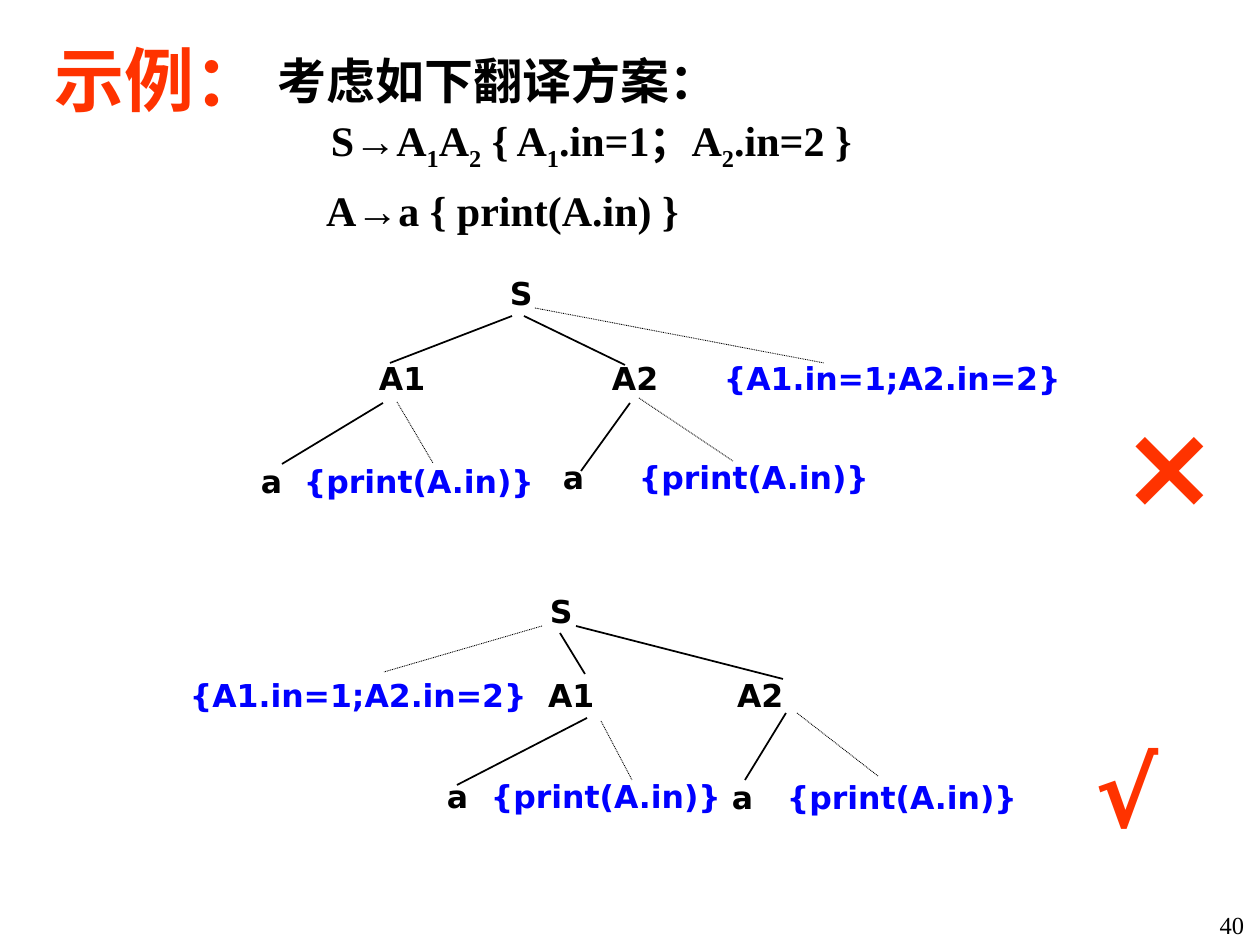
from lxml import etree
from pptx import Presentation
from pptx.dml.color import RGBColor
from pptx.enum.dml import MSO_LINE
from pptx.enum.shapes import MSO_CONNECTOR
from pptx.enum.text import MSO_ANCHOR, PP_ALIGN
from pptx.oxml.ns import qn
from pptx.util import Emu, Pt

BLACK = RGBColor(0x00, 0x00, 0x00)
BLUE = RGBColor(0x00, 0x00, 0xFF)
RED = RGBColor(0xFF, 0x33, 0x00)
SERIF, SANS, HAN = "Times New Roman", "DejaVu Sans", "Noto Sans CJK SC"
LEFT, RIGHT = PP_ALIGN.LEFT, PP_ALIGN.RIGHT
TOP, MIDDLE = MSO_ANCHOR.TOP, MSO_ANCHOR.MIDDLE
LINE, DOT = MSO_CONNECTOR.STRAIGHT, MSO_LINE.ROUND_DOT
INCH = 126  # px to the inch


def px(n):
    return Emu(round(n * 914400 / INCH))


def write(text, box, size, face, color, bold=True, pad=(13, 6),
          align=LEFT, anchor=TOP):
    """Add a text box with one styled paragraph and return its frame."""
    frame = slide.shapes.add_textbox(*map(px, box)).text_frame
    frame.word_wrap = True
    frame.vertical_anchor = anchor
    frame.margin_left = frame.margin_right = px(pad[0])
    frame.margin_top = frame.margin_bottom = px(pad[1])
    para = frame.paragraphs[0]
    para.text = text
    para.alignment = align
    font = para.font
    font.name, font.size, font.bold = face, Pt(size), bold
    font.color.rgb = color
    return frame


deck = Presentation()
deck.slide_width, deck.slide_height = px(1260), px(945)
slide = deck.slides.add_slide(deck.slide_layouts[6])

# Heading and page number
write("示例：", (42, 21, 1187, 116), 40, HAN, RED, anchor=MIDDLE)
write("40", (1139, 904, 118, 38), 14, SERIF, BLACK, bold=False, align=RIGHT)

# Translation scheme: odd pieces of a rule are subscripts
rules = [
    (53, ["S→A", "1", "A", "2", " { A", "1", ".in=1；A", "2", ".in=2 }"]),
    (48, ["A→a { print(A.in) }"]),
]
scheme = write("考虑如下翻译方案：", (265, 46, 900, 204), 28, SERIF, BLACK,
               pad=(13, 0))
for indent, parts in rules:
    para = scheme.add_paragraph()
    para._p.get_or_add_pPr().set("marL", str(px(indent)))
    for i, part in enumerate(parts):
        run = para.add_run()
        run.text = part
        if i % 2:
            run._r.get_or_add_rPr().set("baseline", "-25000")
    font = para.font
    font.name, font.size, font.bold = SERIF, Pt(24), True
    font.color.rgb = BLACK
for para in scheme.paragraphs:
    para.line_spacing = Pt(36)

# Tree labels: text, left, top
SET, PRINT = "{A1.in=1;A2.in=2}", "{print(A.in)}"
WIDTH = {"S": 40, "A1": 56, "A2": 56, "a": 36, SET: 350, PRINT: 240}
nodes = [
    # action at the end of the rule
    ("S", 509, 273), ("A1", 378, 358), ("A2", 611, 358), (SET, 723, 358),
    ("a", 260, 461), (PRINT, 303, 461), ("a", 562, 457), (PRINT, 638, 457),
    # action at the start of the rule
    ("S", 549, 591), (SET, 189, 675), ("A1", 547, 675), ("A2", 736, 675),
    ("a", 446, 776), (PRINT, 490, 776), ("a", 731, 777), (PRINT, 786, 777),
]
for text, x, y in nodes:
    color = BLUE if text in (SET, PRINT) else BLACK
    write(text, (x, y, WIDTH[text], 44), 18, SANS, color, pad=(1, 1))

# Tree branches: solid to symbols, dotted to actions
solid = [
    (512, 316, 390, 363), (524, 316, 625, 365),
    (383, 403, 282, 464), (630, 403, 581, 471),
    (560, 633, 585, 674), (576, 626, 783, 679),
    (587, 718, 457, 785), (786, 713, 745, 780),
]
dotted = [
    (535, 308, 824, 363), (397, 402, 433, 463), (639, 398, 733, 461),
    (542, 626, 384, 672), (601, 721, 632, 780), (797, 713, 878, 776),
]
for ends in solid + dotted:
    edge = slide.shapes.add_connector(LINE, *map(px, ends))
    etree.SubElement(edge._element.spPr, qn("a:effectLst"))
    edge.line.color.rgb = BLACK
    edge.line.width = Pt(1)
    if ends in dotted:
        edge.line.width = Pt(0.5)
        edge.line.dash_style = DOT

# Verdicts
write("×", (1108, 386, 106, 151), 66, SANS, RED)
write("√", (1082, 727, 106, 126), 54, SANS, RED)

deck.save("out.pptx")
